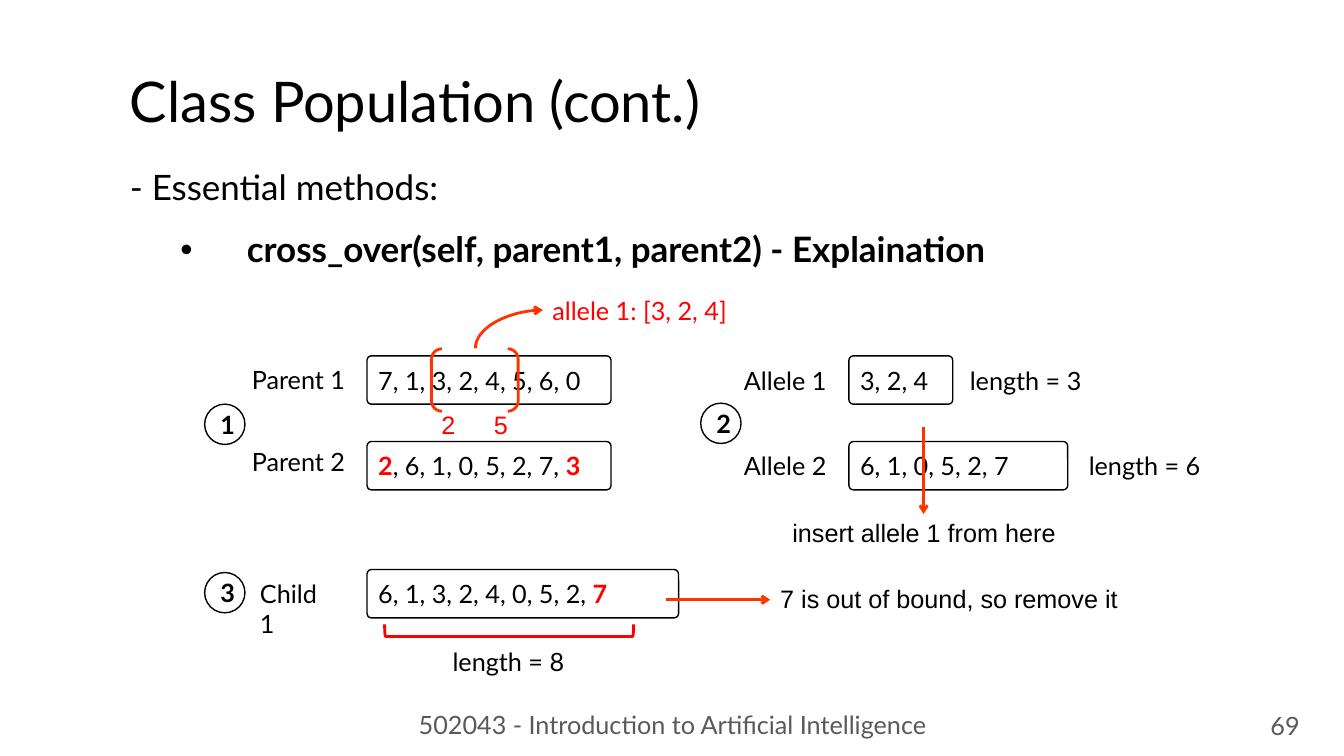
"""Draw the crossover slide of the genetic algorithm lecture."""
from lxml import etree
from pptx import Presentation, util as u
from pptx.dml.color import RGBColor
from pptx.enum import shapes, text
from pptx.oxml import ns

BLACK, WHITE, RED, FLAME, GREY = "000000", "FFFFFF", "FF0000", "FF3300", "595959"
SHAPE, ALIGN = shapes.MSO_SHAPE, text.PP_ALIGN


def tint(code):
    return RGBColor.from_string(code)


class Board:
    def __init__(self, slide, face="Lato", size=18):
        self.items = slide.shapes
        self.face = face
        self.size = size

    def style(self, font, color=BLACK, size=None, face=None, bold=False):
        font.name = face or self.face
        font.size = u.Pt(size or self.size)
        font.bold = bold
        font.color.rgb = tint(color)

    def label(self, words, x, y, w, h=0.4, align=ALIGN.LEFT, **look):
        box = self.items.add_textbox(*map(u.Inches, (x, y, w, h)))
        frame = box.text_frame
        frame.text = words
        frame.word_wrap = False
        frame.auto_size = text.MSO_AUTO_SIZE.SHAPE_TO_FIT_TEXT
        para = frame.paragraphs[0]
        para.alignment = align
        self.style(para.runs[0].font, **look)

    def outline(self, lines, x, y, w, h, size):
        box = self.items.add_textbox(*map(u.Inches, (x, y, w, h)))
        frame = box.text_frame
        frame.word_wrap = True
        frame.text = "\n".join(lines)
        for level, para in enumerate(frame.paragraphs):
            para.line_spacing = 1.5
            para.level = level
            if level:
                props = para._p.get_or_add_pPr()
                props.set("marL", str(u.Inches(1.16)))
                props.set("indent", str(u.Inches(-0.66)))
                font = etree.SubElement(props, ns.qn("a:buFont"))
                font.set("typeface", "Arial")
                etree.SubElement(props, ns.qn("a:buChar")).set("char", "•")
            self.style(para.runs[0].font, size=size, bold=level > 0)

    def shape(self, kind, x, y, w, h, line=BLACK, width=1, fill=None, adj=None):
        item = self.items.add_shape(kind, *map(u.Inches, (x, y, w, h)))
        item.shadow.inherit = False
        if fill:
            item.fill.solid()
            item.fill.fore_color.rgb = tint(fill)
        else:
            item.fill.background()
        item.line.color.rgb = tint(line)
        item.line.width = u.Pt(width)
        if adj:
            item.adjustments[0] = adj
        return item

    def genes(self, words, x, y, w):
        """Show a gene list; parts between stars are red and bold."""
        item = self.shape(SHAPE.ROUNDED_RECTANGLE, x, y, w, 0.48, fill=WHITE, adj=0.092)
        item.text_frame.vertical_anchor = text.MSO_ANCHOR.MIDDLE
        para = item.text_frame.paragraphs[0]
        para.alignment = ALIGN.JUSTIFY
        for spot, part in enumerate(words.split("*")):
            if part:
                run = para.add_run()
                run.text = part
                mark = spot % 2 == 1
                self.style(run.font, RED if mark else BLACK, bold=mark)

    def badge(self, words, x, y):
        item = self.shape(SHAPE.OVAL, x, y, 0.4, 0.4, fill=WHITE)
        frame = item.text_frame
        frame.text = words
        frame.vertical_anchor = text.MSO_ANCHOR.MIDDLE
        frame.paragraphs[0].alignment = ALIGN.CENTER
        self.style(frame.paragraphs[0].runs[0].font, bold=True)

    def arrow(self, x1, y1, x2, y2, kind=shapes.MSO_CONNECTOR.STRAIGHT):
        link = self.items.add_connector(kind, *map(u.Inches, (x1, y1, x2, y2)))
        link.line.color.rgb = tint(FLAME)
        link.line.width = u.Pt(2)
        tip = etree.SubElement(link.line._get_or_add_ln(), ns.qn("a:tailEnd"))
        tip.set("type", "arrow")
        etree.SubElement(link._element.spPr, ns.qn("a:effectLst"))
        return link

    def bend(self, x, y, w, h):
        """Curve up and right, as a quarter-turned two-point connector."""
        link = self.arrow(x, y, x + w, y + h, shapes.MSO_CONNECTOR.CURVE)
        props = link._element.spPr
        props.find(ns.qn("a:prstGeom")).set("prst", "curvedConnector2")
        props.find(ns.qn("a:xfrm")).set("rot", str(270 * 60000))


def main():
    deck = Presentation()
    deck.slide_width, deck.slide_height = u.Inches(13.33), u.Inches(7.5)
    board = Board(deck.slides.add_slide(deck.slide_layouts[6]))

    board.label("502043 - Introduction to Artificial Intelligence", 4.01, 6.99, 5.32,
                align=ALIGN.CENTER, color=GREY)
    board.label("69", 12.5, 7, 0.49, align=ALIGN.CENTER, color=GREY)
    board.label("Class Population (cont.)", 1.19, 0.61, 6.06, 0.77, size=40)
    board.outline(["- Essential methods:",
                   "cross_over(self, parent1, parent2) - Explaination"],
                  1.19, 1.38, 10.96, 1.36, 25)

    for words, x, y, w in [
        ("7, 1, 3, 2, 4, 5, 6, 0", 3.64, 3.53, 2.42),
        ("*2*, 6, 1, 0, 5, 2, 7, *3*", 3.64, 4.38, 2.42),
        ("3, 2, 4", 8.42, 3.53, 1.03),
        ("6, 1, 0, 5, 2, 7", 8.42, 4.38, 2.17),
        ("6, 1, 3, 2, 4, 0, 5, 2, *7*", 3.64, 5.65, 3.09),
    ]:
        board.genes(words, x, y, w)

    for words, x, y, w in [
        ("Parent 1", 2.4, 3.57, 1.14),
        ("Parent 2", 2.4, 4.38, 1.14),
        ("Allele 1", 7.28, 3.58, 1.02),
        ("Allele 2", 7.28, 4.42, 1.02),
        ("Child 1", 2.48, 5.69, 0.97),
        ("length = 3", 9.52, 3.58, 1.31),
        ("length = 6", 10.7, 4.42, 1.31),
        ("length = 8", 4.39, 6.36, 1.31),
    ]:
        board.label(words, x, y, w)

    board.label("allele 1: [3, 2, 4]", 5.38, 2.88, 1.93, color=RED)
    for words, x, y, w, color in [
        ("2", 4.28, 4.01, 0.34, RED),
        ("5", 4.8, 4.01, 0.34, RED),
        ("insert allele 1 from here", 7.76, 5.08, 2.81, BLACK),
        ("7 is out of bound, so remove it", 7.64, 5.74, 3.55, BLACK),
    ]:
        board.label(words, x, y, w, color=color, face="Arial")

    for words, x, y in [("1", 2.03, 4.01), ("2", 6.95, 4), ("3", 2.03, 5.68)]:
        board.badge(words, x, y)

    board.shape(SHAPE.DOUBLE_BRACKET, 4.28, 3.46, 0.86, 0.62, FLAME, 2, adj=0.167)
    brace = board.shape(SHAPE.LEFT_BRACKET, 4.99, 5.02, 0.12, 2.47, RED, 2)
    brace.rotation = 270
    board.bend(4.86, 2.93, 0.38, 0.67)
    board.arrow(9.16, 4.24, 9.16, 5.1)
    board.arrow(6.61, 5.95, 7.64, 5.95)

    deck.save("out.pptx")


if __name__ == "__main__":
    main()
